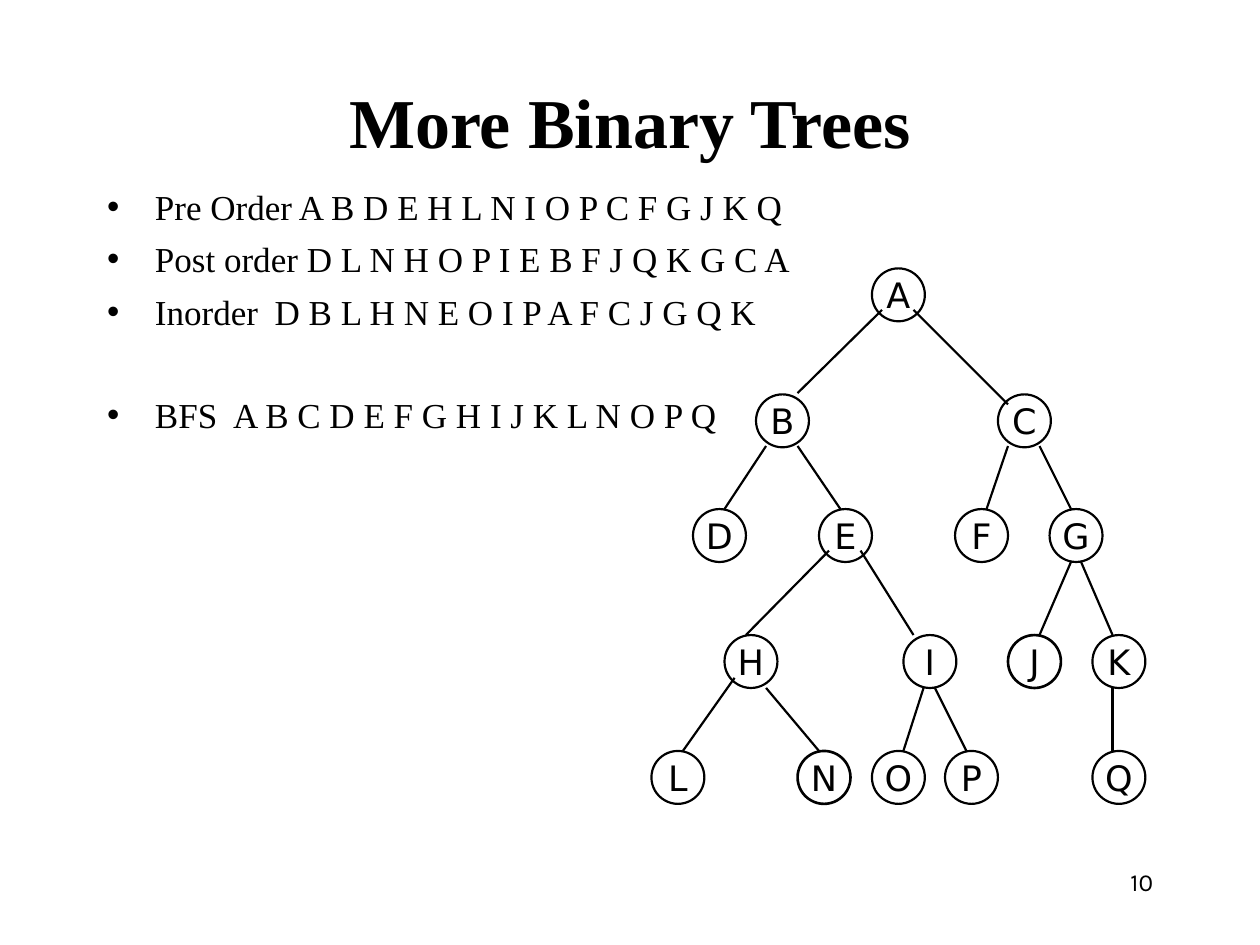
from lxml.etree import SubElement
from pptx import Presentation
from pptx.dml.color import RGBColor
from pptx.enum.shapes import MSO_CONNECTOR, MSO_SHAPE
from pptx.enum.text import MSO_ANCHOR, MSO_AUTO_SIZE, PP_ALIGN
from pptx.oxml.ns import qn
from pptx.util import Inches, Pt

BLACK = RGBColor(0, 0, 0)
SERIF = "Times New Roman"
SIZE = 0.42
THICK = "NJ"

# Text, tab stop in inches, space before in points
ORDERS = [
    ("Pre Order A B D E H L N I O P C F G J K Q", None, 0),
    ("Post order D L N H O P I E B F J Q K G C A", None, 6),
    ("Inorder\tD B L H N E O I P A F C J G Q K", 1.33, 6),
    ("BFS\tA B C D E F G H I J K L N O P Q", 1, 35),
]

# Top of each level, with the left edge of each node
LEVELS = [
    (2.13, {"A": 6.92}),
    (3.13, {"B": 6, "C": 7.92}),
    (4.04, {"D": 5.5, "E": 6.5, "F": 7.58, "G": 8.33}),
    (5.04, {"H": 5.75, "I": 7.17, "J": 8, "K": 8.67}),
    (5.96, {"L": 5.17, "N": 6.33, "O": 6.92, "P": 7.5, "Q": 8.67}),
]

# Parent end and child end of each branch
EDGES = [
    (7, 2.46, 6.33, 3.12), (7.25, 2.46, 8, 3.21),
    (6.08, 3.54, 5.75, 4.04), (6.33, 3.54, 6.67, 4.04),
    (8, 3.54, 7.83, 4.04), (8.25, 3.54, 8.5, 4.04),
    (6.58, 4.37, 5.92, 5.04), (6.83, 4.37, 7.25, 5.04),
    (8.5, 4.46, 8.25, 5.04), (8.58, 4.46, 8.83, 5.04),
    (5.83, 5.38, 5.42, 5.96), (6.08, 5.46, 6.5, 5.96),
    (7.33, 5.46, 7.17, 5.96), (7.42, 5.46, 7.67, 5.96),
    (8.83, 5.46, 8.83, 5.96),
]


def place(shape, *box):
    for name, value in zip(("left", "top", "width", "height"), box):
        setattr(shape, name, Inches(value))


def style(para, font, size, align, bold=False):
    para.alignment = align
    para.font.color.rgb = BLACK
    form = {"name": font, "size": Pt(size), "bold": bold}
    for name, value in form.items():
        setattr(para.font, name, value)
        for run in para.runs:
            setattr(run.font, name, value)
    for run in para.runs:
        run.font.color.rgb = BLACK


def add_title(slide):
    title = slide.shapes.title
    place(title, 0.75, 0.67, 8.5, 0.58)
    frame = title.text_frame
    frame.text = "More Binary Trees"
    frame.auto_size = MSO_AUTO_SIZE.NONE
    frame.vertical_anchor = MSO_ANCHOR.MIDDLE
    style(frame.paragraphs[0], SERIF, 40, PP_ALIGN.CENTER, True)


def set_bullet(para, stop):
    """Give a hanging bullet and, if asked for, one tab stop."""
    props = para._p.get_or_add_pPr()
    props.set("marL", str(Inches(0.38)))
    props.set("indent", str(-Inches(0.38)))
    SubElement(props, qn("a:buChar")).set("char", "•")
    if stop:
        tabs = SubElement(props, qn("a:tabLst"))
        tab = SubElement(tabs, qn("a:tab"))
        tab.set("pos", str(Inches(stop)))
        tab.set("algn", "l")


def add_list(slide):
    body = slide.placeholders[1]
    place(body, 0.75, 1.42, 8.5, 5.25)
    frame = body.text_frame
    frame.auto_size = MSO_AUTO_SIZE.NONE
    frame.text = "\n".join(text for text, _, _ in ORDERS)
    for para, (_, stop, space) in zip(frame.paragraphs, ORDERS):
        set_bullet(para, stop)
        para.space_before = Pt(space)
        style(para, SERIF, 20, PP_ALIGN.LEFT)


def add_node(tree, name, left, top):
    node = tree.shapes.add_shape(
        MSO_SHAPE.OVAL, *map(Inches, (left, top, SIZE, SIZE)))
    node.shadow.inherit = False
    node.fill.background()
    node.line.color.rgb = BLACK
    node.line.width = Pt(1.5 if name in THICK else 1.25)
    frame = node.text_frame
    frame.text = name
    frame.word_wrap = False
    frame.vertical_anchor = MSO_ANCHOR.MIDDLE
    style(frame.paragraphs[0], "DejaVu Sans", 20, PP_ALIGN.CENTER)


def add_edge(tree, ends):
    edge = tree.shapes.add_connector(
        MSO_CONNECTOR.STRAIGHT, *map(Inches, ends))
    edge.line.color.rgb = BLACK
    edge.line.width = Pt(1.25)
    SubElement(edge._element.spPr, qn("a:effectLst"))


def add_tree(slide):
    tree = slide.shapes.add_group_shape()
    for top, nodes in LEVELS:
        for name, left in nodes.items():
            add_node(tree, name, left, top)
    for ends in EDGES:
        add_edge(tree, ends)


def add_number(slide):
    box = slide.shapes.add_textbox(*map(Inches, (7.17, 6.83, 2.08, 0.5)))
    frame = box.text_frame
    frame.word_wrap = True
    frame.text = "10"
    style(frame.paragraphs[0], "Karla", 14, PP_ALIGN.RIGHT)


def main():
    deck = Presentation()
    deck.slide_width = Inches(10)
    deck.slide_height = Inches(7.5)
    slide = deck.slides.add_slide(deck.slide_layouts[1])
    add_number(slide)
    add_title(slide)
    add_list(slide)
    add_tree(slide)
    deck.save("out.pptx")


if __name__ == "__main__":
    main()
